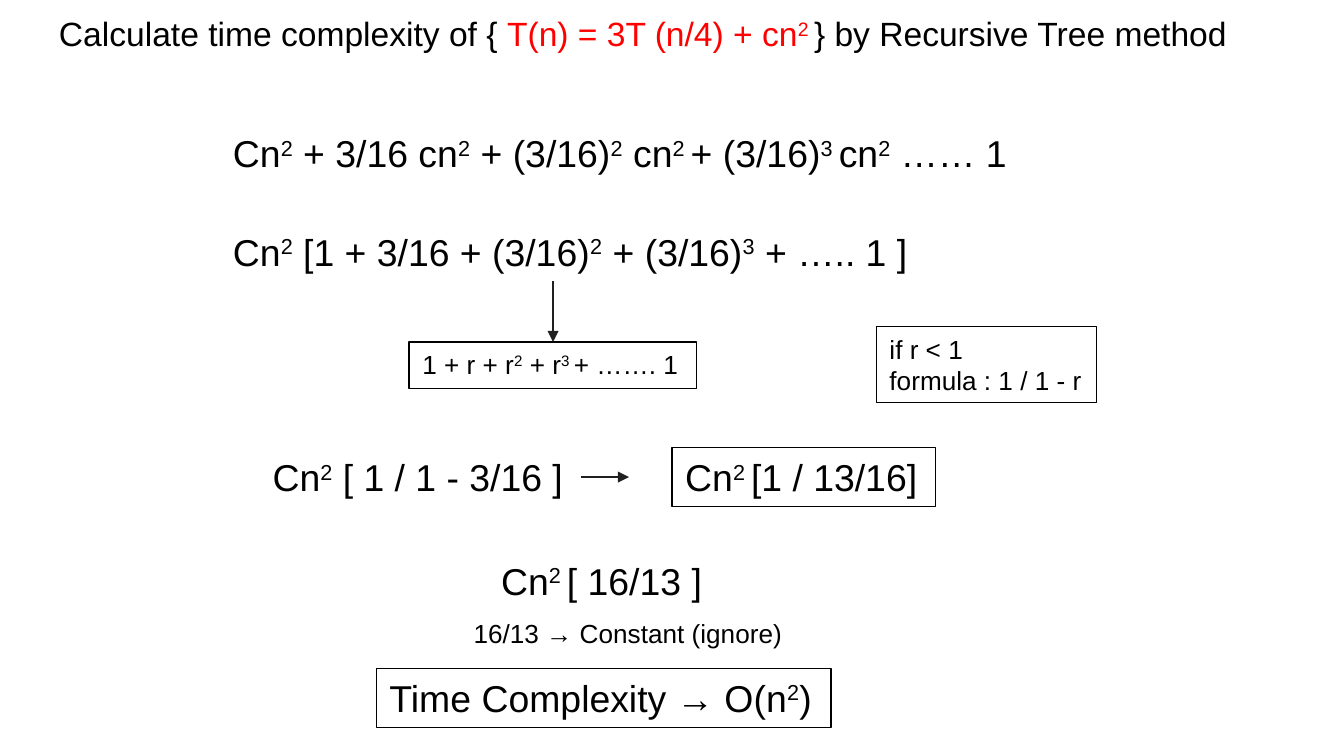
from lxml import etree
from pptx import Presentation
from pptx.dml.color import RGBColor
from pptx.enum.shapes import MSO_CONNECTOR, MSO_SHAPE
from pptx.enum.text import MSO_ANCHOR, MSO_AUTO_SIZE, PP_ALIGN
from pptx.oxml.ns import qn
from pptx.util import Inches, Pt

RECT, STRAIGHT = MSO_SHAPE.RECTANGLE, MSO_CONNECTOR.STRAIGHT
TOP, LEFT = MSO_ANCHOR.TOP, PP_ALIGN.LEFT
FIT, NO_FIT = MSO_AUTO_SIZE.SHAPE_TO_FIT_TEXT, MSO_AUTO_SIZE.NONE
TOP_SIDE, RIGHT_SIDE = 0, 3

COLORS = {"text": "000000", "accent": "FF0000", "arrow": "202020"}
FONT = "Arial"
LARGE, SMALL = 20, 14
PADDING, LINE_HEIGHT = 0.12, 1.15

# Between bars the text is raised, between tildes it takes the accent colour.
TITLE = "Calculate time complexity of { ~T(n) = 3T (n/4) + cn|2 |~} by Recursive Tree method"

# name: (left %, top %, width %, size, framed, lines)
STEPS = {
    "series": (16.35, 16.4, 60.8, LARGE, False,
               ["Cn|2| + 3/16 cn|2| + (3/16)|2| cn|2 |+ (3/16)|3 |cn|2| …… 1"]),
    "factored": (16.35, 29.4, 52.8, LARGE, False,
                 ["Cn|2| [1 + 3/16 + (3/16)|2| + (3/16)|3| + ….. 1 ]"]),
    "geometric": (30.45, 45.25, 21.4, SMALL, True, ["1 + r + r|2| + r|3 |+ ……. 1"]),
    "formula": (65.2, 43.2, 16.4, SMALL, True, ["if r < 1", "formula : 1 / 1 - r"]),
    "substituted": (19.3, 59.2, 23.9, LARGE, False, ["Cn|2| [ 1 / 1 - 3/16 ]"]),
    "simplified": (50, 59.2, 19.6, LARGE, True, ["Cn|2 |[1 / 13/16]"]),
    "inverted": (36.3, 72.9, 17.3, LARGE, False, ["Cn|2 |[ 16/13 ]"]),
    "constant": (34.25, 80.75, 25, SMALL, False, ["16/13 → Constant (ignore)"]),
    "answer": (28, 88.4, 33.85, LARGE, True, ["Time Complexity → O(n|2|)"]),
}

prs = Presentation()
prs.slide_width = Inches(10)
prs.slide_height = prs.slide_width * 9 // 16
slide = prs.slides.add_slide(prs.slide_layouts[6])


def across(share):
    return round(prs.slide_width * share / 100)


def down(share):
    return round(prs.slide_height * share / 100)


def rgb(name):
    return RGBColor.from_string(COLORS[name])


def write(p, markup, size):
    """Turn the bar and tilde marks of one line into formatted runs."""
    p.alignment = LEFT
    for i, coloured in enumerate(markup.split("~")):
        for j, text in enumerate(coloured.split("|")):
            if not text:
                continue
            r = p.add_run()
            r.text = text
            r.font.name, r.font.size = FONT, Pt(size)
            r.font.color.rgb = rgb("accent" if i % 2 else "text")
            if j % 2:
                r.font._element.set("baseline", "30000")


def add_step(left, top, width, size, framed, lines):
    height = Inches(PADDING + len(lines) * size * LINE_HEIGHT / 72)
    box = across(left), down(top), across(width), height
    if framed:
        sp = slide.shapes.add_shape(RECT, *box)
        sp.shadow.inherit = False
        sp.fill.background()
        sp.line.color.rgb = rgb("text")
        sp.line.width = Pt(0.75)
    else:
        sp = slide.shapes.add_textbox(*box)
    tf = sp.text_frame
    tf.word_wrap, tf.auto_size, tf.vertical_anchor = False, FIT, TOP
    for i, line in enumerate(lines):
        write(tf.add_paragraph() if i else tf.paragraphs[0], line, size)
    return sp


def add_arrow(x1, y1, x2, y2):
    line = slide.shapes.add_connector(STRAIGHT, x1, y1, x2, y2)
    line.line.color.rgb = rgb("arrow")
    line.line.width = Pt(0.75)
    etree.SubElement(line.line._get_or_add_ln(), qn("a:tailEnd"), type="triangle")
    etree.SubElement(line._element.spPr, qn("a:effectLst"))
    return line


title = slide.shapes.add_textbox(across(3.4), 0, across(93.2), down(11.2))
tf = title.text_frame
tf.word_wrap, tf.auto_size, tf.vertical_anchor = True, NO_FIT, TOP
tf.margin_left = tf.margin_right = tf.margin_top = tf.margin_bottom = Inches(0.1)
write(tf.paragraphs[0], TITLE, 18)

steps = {name: add_step(*step) for name, step in STEPS.items()}

factored, geometric = steps["factored"], steps["geometric"]
x = geometric.left + geometric.width // 2
arrow = add_arrow(x, factored.top + factored.height, x, geometric.top)
arrow.end_connect(geometric, TOP_SIDE)

substituted = steps["substituted"]
y = substituted.top + substituted.height // 2
arrow = add_arrow(substituted.left + substituted.width, y, across(46.8), y)
arrow.begin_connect(substituted, RIGHT_SIDE)

prs.save("out.pptx")
